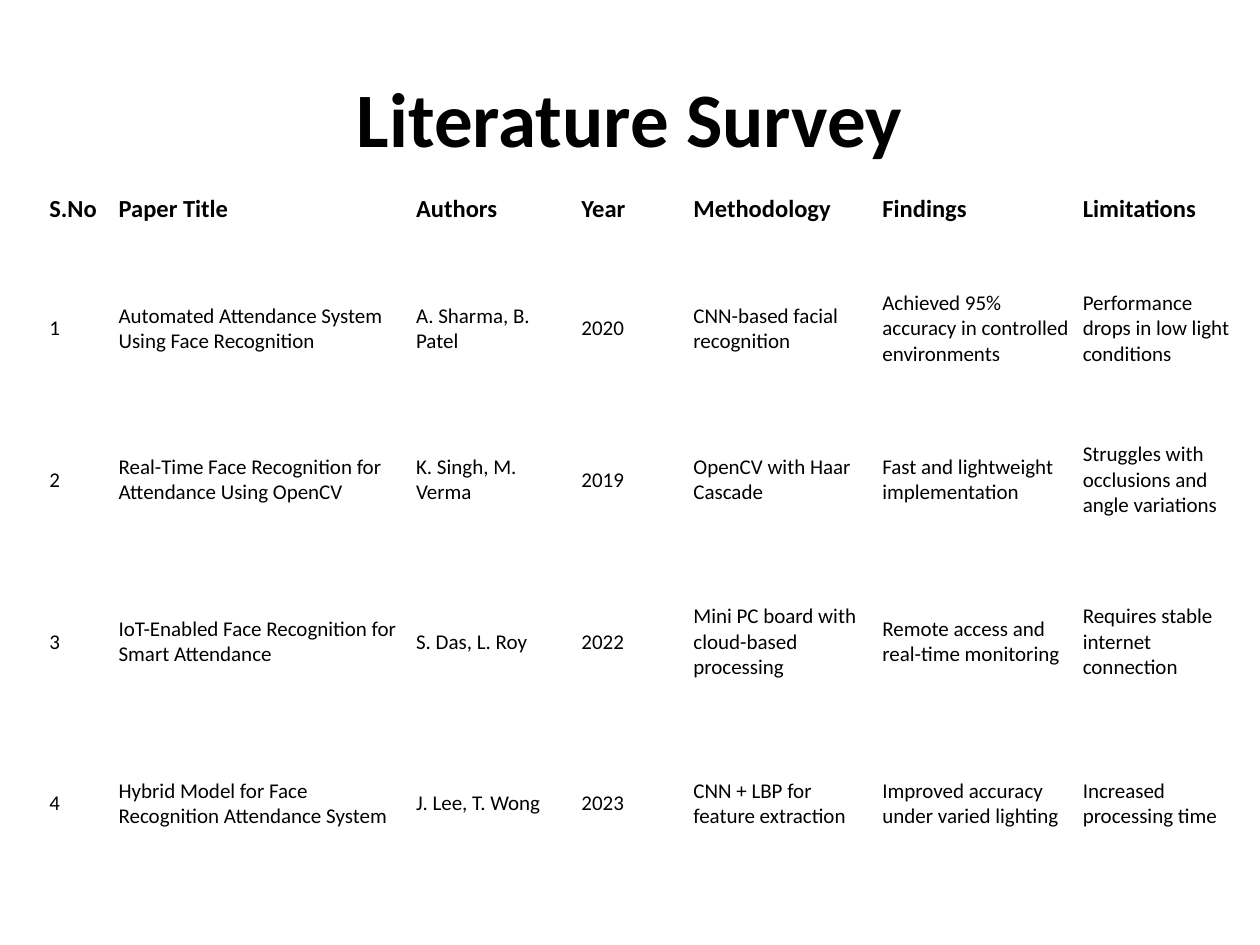
from typing import NamedTuple

from pptx import Presentation
from pptx.dml import color
from pptx.enum import text
from pptx.util import Pt

COLOURS = {"text": "000000"}
FONT = "Calibri"


class Paper(NamedTuple):
    title: str
    authors: str
    year: str
    methodology: str
    findings: str
    limitations: str


class Column(NamedTuple):
    heading: str
    width: float


COLUMNS = [
    Column("S.No", 39.6),
    Column("Paper Title", 170),
    Column("Authors", 94.5),
    Column("Year", 64),
    Column("Methodology", 108),
    Column("Findings", 114.5),
    Column("Limitations", 95.8),
]
ROW_HEIGHTS = [50.4, 86.4, 86.4, 98.6, 86.4]
PAPERS = [
    Paper("Automated Attendance System Using Face Recognition",
          "A. Sharma, B. Patel", "2020", "CNN-based facial recognition",
          "Achieved 95% accuracy in controlled environments",
          "Performance drops in low light conditions"),
    Paper("Real-Time Face Recognition for Attendance Using OpenCV",
          "K. Singh, M. Verma", "2019", "OpenCV with Haar Cascade",
          "Fast and lightweight implementation",
          "Struggles with occlusions and angle variations"),
    Paper("IoT-Enabled Face Recognition for Smart Attendance",
          "S. Das, L. Roy", "2022", "Mini PC board with cloud-based processing",
          "Remote access and real-time monitoring",
          "Requires stable internet connection"),
    Paper("Hybrid Model for Face Recognition Attendance System",
          "J. Lee, T. Wong", "2023", "CNN + LBP for feature extraction",
          "Improved accuracy under varied lighting",
          "Increased processing time"),
]


def write(frame, wording: str, size: float, bold: bool) -> None:
    frame.text = wording
    for run in frame.paragraphs[0].runs:
        run.font.name = FONT
        run.font.size = Pt(size)
        run.font.bold = bold
        run.font.color.rgb = color.RGBColor.from_string(COLOURS["text"])


def add_heading(slide, wording: str) -> None:
    heading = slide.shapes.add_textbox(Pt(36), Pt(21.6), Pt(648), Pt(90)).text_frame
    heading.word_wrap = True
    heading.vertical_anchor = text.MSO_ANCHOR.MIDDLE
    write(heading, wording, 44, True)
    heading.paragraphs[0].alignment = text.PP_ALIGN.CENTER


def fill_cell(cell, wording: str, is_header: bool) -> None:
    cell.fill.background()
    cell.vertical_anchor = text.MSO_ANCHOR.MIDDLE
    cell.margin_left = cell.margin_right = Pt(3)
    cell.margin_top = cell.margin_bottom = Pt(1.5)
    write(cell.text_frame, wording, 14 if is_header else 12, is_header)


def add_survey(slide, papers: list[Paper]) -> None:
    rows = [[column.heading for column in COLUMNS]]
    rows += [[str(number), *paper] for number, paper in enumerate(papers, 1)]
    survey = slide.shapes.add_table(
        len(rows), len(COLUMNS), Pt(25.2), Pt(94.3),
        Pt(sum(column.width for column in COLUMNS)), Pt(sum(ROW_HEIGHTS))).table
    survey.first_row = survey.horz_banding = False
    for table_column, column in zip(survey.columns, COLUMNS):
        table_column.width = Pt(column.width)
    for r, (height, row) in enumerate(zip(ROW_HEIGHTS, rows)):
        survey.rows[r].height = Pt(height)
        for c, wording in enumerate(row):
            fill_cell(survey.cell(r, c), wording, r == 0)


def main() -> None:
    deck = Presentation()
    deck.slide_width, deck.slide_height = Pt(720), Pt(540)
    slide = deck.slides.add_slide(deck.slide_layouts[6])
    add_heading(slide, "Literature Survey")
    add_survey(slide, PAPERS)
    deck.save("out.pptx")


if __name__ == "__main__":
    main()
